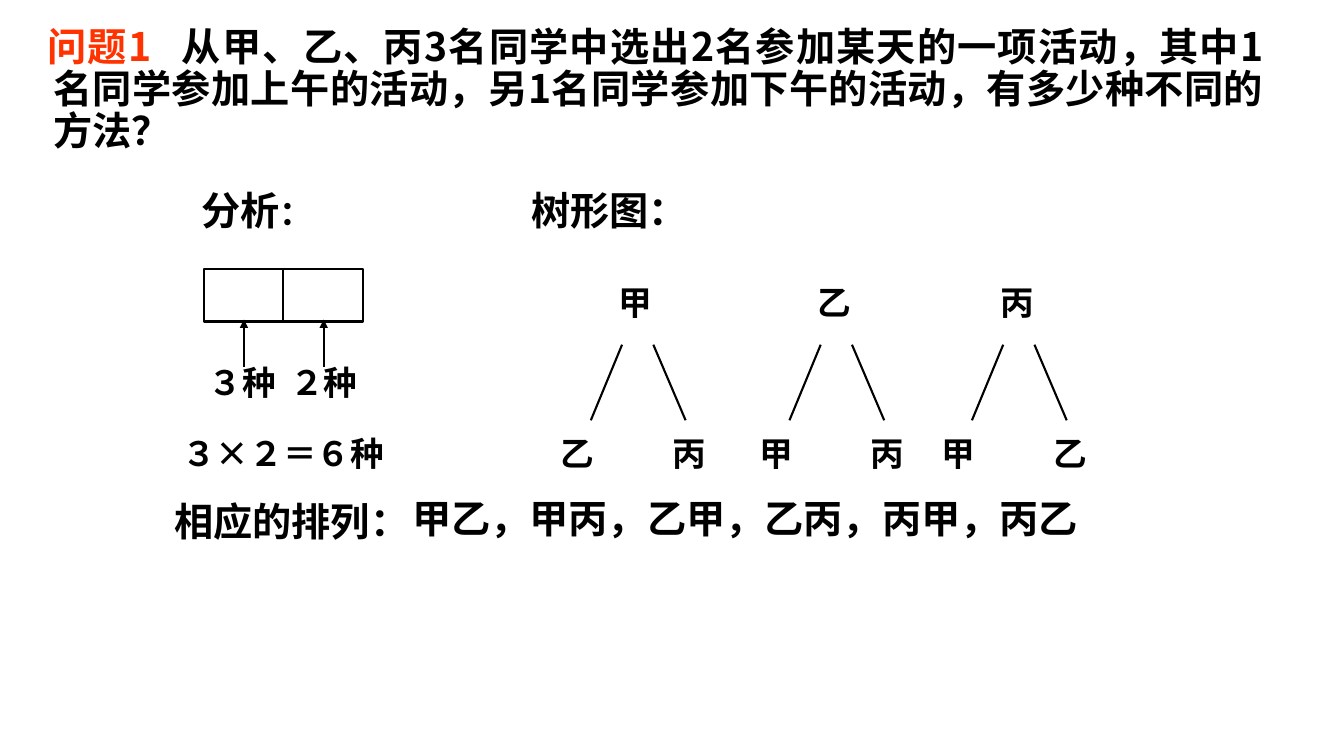
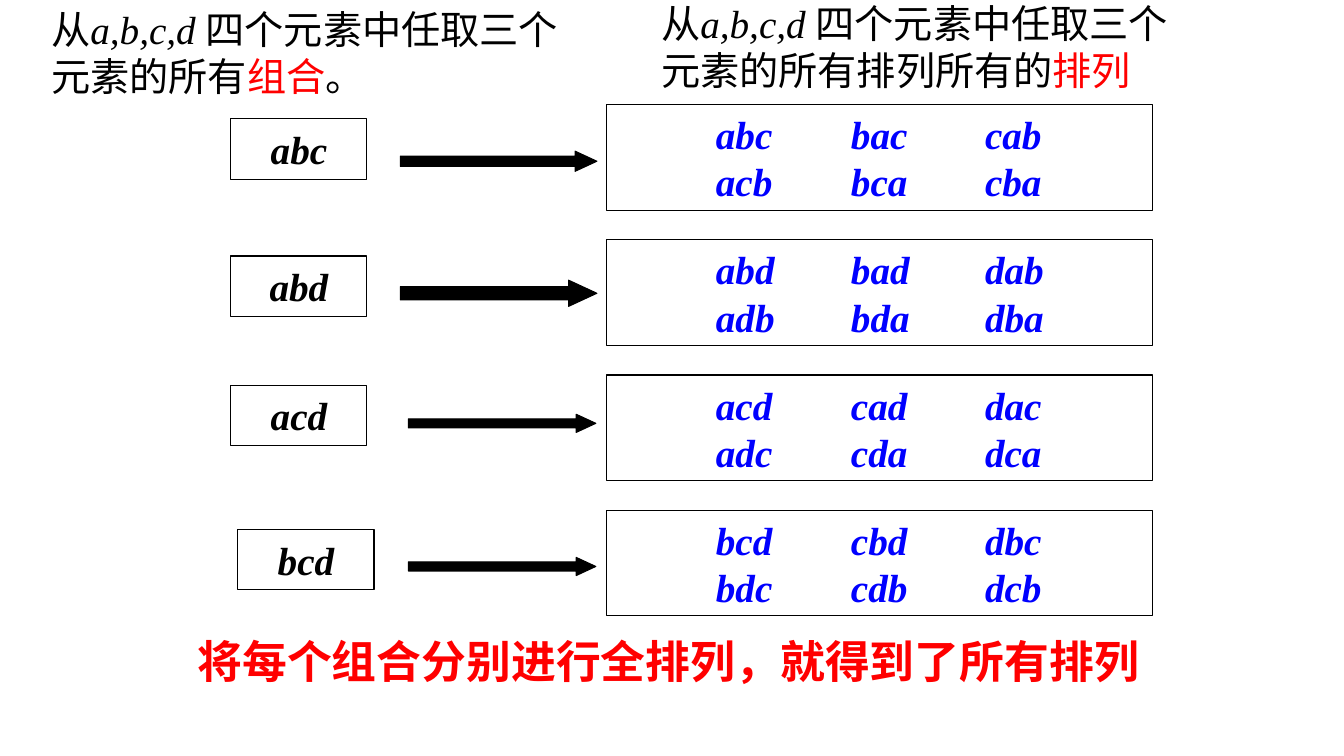
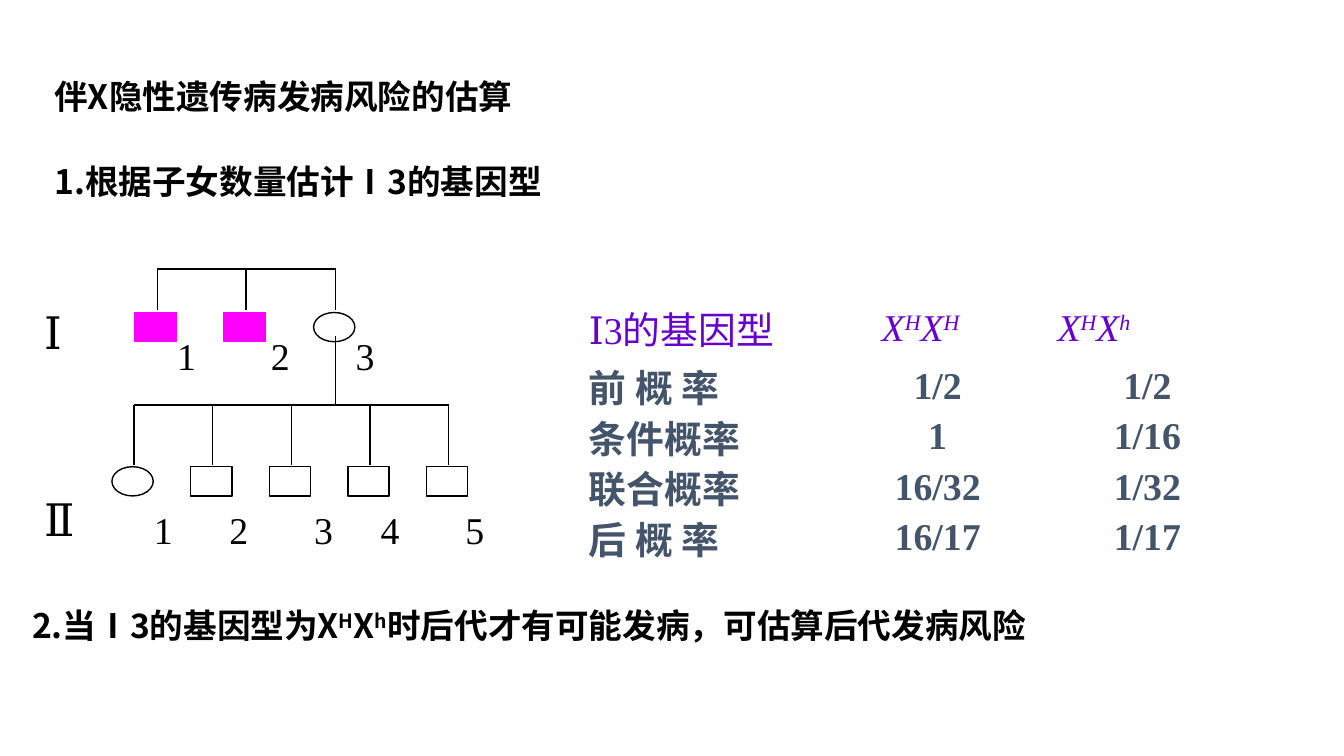
from itertools import permutations

from lxml import etree
from pptx import Presentation
from pptx.dml.color import RGBColor
from pptx.enum.shapes import MSO_CONNECTOR, MSO_SHAPE
from pptx.enum.text import MSO_ANCHOR, PP_ALIGN
from pptx.oxml.ns import qn
from pptx.util import Inches, Pt

LEFT, CENTER, JUSTIFY = PP_ALIGN.LEFT, PP_ALIGN.CENTER, PP_ALIGN.JUSTIFY
TOP, MIDDLE = MSO_ANCHOR.TOP, MSO_ANCHOR.MIDDLE
RECT, OVAL = MSO_SHAPE.RECTANGLE, MSO_SHAPE.OVAL
ARROW, PROCESS = MSO_SHAPE.RIGHT_ARROW, MSO_SHAPE.FLOWCHART_PROCESS
STRAIGHT = MSO_CONNECTOR.STRAIGHT

SANS, SERIF = "Noto Sans CJK SC", "Times New Roman"
COLORS = {
    "black": "000000", "white": "FFFFFF", "orange": "FF3300", "red": "FF0000",
    "blue": "0000FF", "magenta": "FF00FF", "purple": "6600CC", "slate": "44546A",
}


def rgb(name):
    return RGBColor.from_string(COLORS[name])


def add_run(p, text, size=24, font=SANS, ea=SANS, color="black",
            bold=False, italic=False, raised=False):
    r = p.add_run()
    r.text = text
    r.font.size, r.font.name = Pt(size), font
    r.font.bold, r.font.italic = bold, italic
    r.font.color.rgb = rgb(color)
    rPr = r.font._element
    etree.SubElement(rPr, qn("a:ea")).set("typeface", ea)
    if raised:
        rPr.set("baseline", "30000")


def write(tf, paragraphs, align=LEFT, spacing=None, before=0, indent=None, tabs=(), **fmt):
    """Each paragraph is a string or a list of (text, format overrides)."""
    for i, runs in enumerate(paragraphs):
        p = tf.add_paragraph() if i else tf.paragraphs[0]
        p.alignment = align
        if spacing:
            p.line_spacing = spacing
        if i and before:
            p.space_before = Pt(before)
        pPr = p._p.get_or_add_pPr()
        if indent:
            pPr.set("marL", str(Inches(indent[0])))
            pPr.set("indent", str(Inches(indent[1])))
        if tabs:
            tab_list = etree.SubElement(pPr, qn("a:tabLst"))
            for pos in tabs:
                tab = etree.SubElement(tab_list, qn("a:tab"))
                tab.set("pos", str(Inches(pos)))
                tab.set("algn", "l")
        for text, extra in [(runs, {})] if isinstance(runs, str) else runs:
            add_run(p, text, **{**fmt, **extra})


def add_text(s, x, y, w, h, *paragraphs, **fmt):
    tf = s.shapes.add_textbox(Inches(x), Inches(y), Inches(w), Inches(h)).text_frame
    tf.word_wrap = True
    write(tf, paragraphs, **fmt)


def add_shape(s, kind, x, y, w, h, fill=None, line="black", width=1):
    sp = s.shapes.add_shape(kind, Inches(x), Inches(y), Inches(w), Inches(h))
    sp.shadow.inherit = False
    if fill:
        sp.fill.solid()
        sp.fill.fore_color.rgb = rgb(fill)
    else:
        sp.fill.background()
    if line:
        sp.line.color.rgb = rgb(line)
        sp.line.width = Pt(width)
    else:
        sp.line.fill.background()
    return sp


def add_line(s, x1, y1, x2, y2, width=1, arrow=False):
    c = s.shapes.add_connector(STRAIGHT, Inches(x1), Inches(y1), Inches(x2), Inches(y2))
    c.line.color.rgb = rgb("black")
    c.line.width = Pt(width)
    if arrow:
        etree.SubElement(c.line._get_or_add_ln(), qn("a:tailEnd")).set("type", "triangle")
    etree.SubElement(c._element.spPr, qn("a:effectLst"))


def add_boxed_text(s, box, paragraphs, margin_left=0.1, fill=None, line="black", kind=RECT, **fmt):
    tf = add_shape(s, kind, *box, fill=fill, line=line, width=0.75).text_frame
    tf.word_wrap = False
    tf.vertical_anchor = MIDDLE
    tf.margin_left = Inches(margin_left)
    write(tf, paragraphs, font=SERIF, bold=True, **fmt)


# Slide 1: arrangements of two out of three

def add_choice_boxes(s, x, y):
    for i, count in enumerate(("３种", "２种")):
        left = x + 0.79 * i
        add_shape(s, RECT, left, y, 0.79, 0.52, width=1.5)
        add_line(s, left + 0.4, y + 0.97, left + 0.4, y + 0.5, width=1.5, arrow=True)
        add_text(s, left - 0.05 + 0.02 * i, y + 0.87, 1.03, 0.5, count, font=SERIF, bold=True)


def add_tree(s, x, y, root, leaves):
    add_text(s, x + 0.58, y, 0.62, 0.5, root, font=SERIF, bold=True)
    for i, leaf in enumerate(leaves):
        add_text(s, x + 1.11 * i, y + 1.5, 0.62, 0.5, leaf, font=SERIF, bold=True)
        add_line(s, x + 0.71 + 0.31 * i, y + 0.67, x + 0.4 + 0.94 * i, y + 1.42, width=1.5)


def build_arrangement_slide(s):
    add_text(s, 0.18, 0.22, 12.45, 1.58,
             [("问题1", {"color": "orange"}), ("　", {"size": 20}),
              ("从甲、乙、丙3名同学中选出2名参加某天的一项活动，其中1名同学参加上午的活动，"
               "另1名同学参加下午的活动，有多少种不同的方法？", {})],
             size=28, bold=True, align=JUSTIFY, spacing=0.9, indent=(0.25, -0.06))
    add_choice_boxes(s, 2.02, 2.67)
    add_text(s, 1.71, 4.25, 2.44, 0.5, "３×２＝６种", bold=True)
    students = "甲乙丙"
    for x, root in zip((5.46, 7.43, 9.24), students):
        add_tree(s, x, 2.75, root, students.replace(root, ""))
    add_text(s, 1.9, 1.8, 2.05, 0.57, [("分析", {"size": 28}), ("：", {})], bold=True)
    for x, y, w, text in (
        (5.17, 1.8, 2.84, "树形图："),
        (1.63, 4.88, 3.31, "相应的排列："),
        (3.99, 4.85, 7.48, "，".join(a + b for a, b in permutations(students, 2))),
    ):
        add_text(s, x, y, w, 0.57, text, size=28, bold=True)


# Slide 2: from combinations to permutations

def add_heading(s, x, y, w, text, highlight, end=""):
    runs = [("从", {}), ("a,b,c,d ", {"italic": True}), (text, {"font": SANS}),
            (highlight, {"color": "red"})]
    if end:
        runs.append((end, {}))
    add_text(s, x, y, w, 1.04, runs, size=28, font=SERIF)


def add_permutations(s, x, y, letters):
    words = ["".join(p) for p in permutations(letters)]
    add_boxed_text(s, (x, y, 5.41, 1.05), ["\t".join(words[0::2]), "\t".join(words[1::2])],
                   margin_left=1.08, tabs=(1.34, 2.67), align=LEFT,
                   size=28, color="blue", italic=True)


def build_combination_slide(s):
    add_heading(s, 0.41, 0, 5.32, "四个元素中任取三个元素的所有", "组合", "。")
    add_heading(s, 6.46, -0.06, 5.43, "四个元素中任取三个元素的所有排列所有的", "排列")
    rows = (
        ("abc", 2.29, 1.18, (3.97, 1.5, 1.95, 0.2)),
        ("abd", 2.29, 2.54, (3.97, 2.78, 1.95, 0.26)),
        ("acd", 2.29, 3.82, (4.05, 4.11, 1.86, 0.18)),
        ("bcd", 2.36, 5.25, (4.05, 5.53, 1.86, 0.18)),
    )
    for i, (letters, x, y, arrow_box) in enumerate(rows):
        add_boxed_text(s, (x, y, 1.35, 0.6), [letters], align=CENTER, size=28, italic=True)
        add_permutations(s, 6.02, 1.04 + 1.34 * i, letters)
        arrow = add_shape(s, ARROW, *arrow_box, fill="black", width=0.75)
        arrow.adjustments[1] = 1.08
    add_boxed_text(s, (1.86, 6.21, 9.61, 0.68), ["将每个组合分别进行全排列，就得到了所有排列"],
                   kind=PROCESS, fill="white", line=None, size=32, color="red")


# Slide 3: risk of an X-linked recessive disease

def genotype(*alleles, **fmt):
    runs = []
    for allele in alleles:
        runs += [("X", fmt), (allele, {**fmt, "raised": True})]
    return runs


def add_numbers(s, centers, y):
    for i, x in enumerate(centers, 1):
        add_text(s, x - 0.25, y, 0.5, 0.56, str(i), size=27, font=SERIF, align=CENTER)


def add_generation(s, xs, y, drop, symbols):
    """Draws a sibling line with a drop line and a symbol for each person."""
    add_line(s, xs[0], y, xs[-1], y)
    for x, (kind, fill) in zip(xs, symbols):
        add_line(s, x, y, x, y + drop)
        add_shape(s, kind, x - 0.22, y + drop + 0.02, 0.41, 0.29, fill=fill,
                  line=fill or "black")


def add_pedigree(s, x, y):
    parents = [x + dx for dx in (1.12, 2, 2.89)]
    children = [x + 0.89 + 0.78 * i for i in range(5)]
    add_generation(s, parents, y, 0.41, [(RECT, "magenta")] * 2 + [(OVAL, None)])
    add_line(s, parents[-1], y + 0.66, parents[-1], y + 1.35)
    add_generation(s, children, y + 1.35, 0.59, [(OVAL, None)] + [(RECT, None)] * 4)
    add_numbers(s, [x + dx for dx in (1.41, 2.34, 3.18)], y + 0.58)
    add_numbers(s, [x + dx for dx in (1.18, 1.93, 2.77, 3.43, 4.27)], y + 2.31)
    for dy, label in ((0.3, "Ⅰ"), (2.16, "Ⅱ")):
        add_text(s, x - 0.1, y + dy, 0.64, 0.6, label, size=32, font=SERIF, ea=SERIF)


def add_probability_table(s, x, y):
    italic = {"italic": True}
    rows = (
        ([("Ⅰ", {"ea": SERIF}), ("3的基因型", {})],
         genotype("H", "H", **italic), genotype("H", "h", **italic)),
        ("前 概 率", "1/2", "1/2"),
        ("条件概率", "1", "1/16"),
        ("联合概率", "16/32", "1/32"),
        ("后 概 率", "16/17", "1/17"),
    )
    widths, heights = (2.36, 2.2, 1.96), (0.65, 0.5, 0.5, 0.5, 0.5)
    header_insets = (0, 0.34, 1.06)
    table = s.shapes.add_table(5, 3, Inches(x), Inches(y), Inches(sum(widths)),
                               Inches(sum(heights))).table
    table.first_row = table.horz_banding = False
    for column, width in zip(table.columns, widths):
        column.width = Inches(width)
    for i, (row, height) in enumerate(zip(rows, heights)):
        table.rows[i].height = Inches(height)
        for j, content in enumerate(row):
            cell = table.cell(i, j)
            cell.fill.background()
            cell.vertical_anchor = MIDDLE
            cell.margin_left = cell.margin_top = cell.margin_bottom = 0
            cell.margin_right = Inches(0 if i else header_insets[j])
            write(cell.text_frame, [content], align=CENTER if j else LEFT, spacing=0.9,
                  size=27, font=SERIF, bold=i > 0, color="slate" if i else "purple")


def build_risk_slide(s):
    add_text(s, 0.44, 0.75, 11.22, 1.67, "伴X隐性遗传病发病风险的估算",
             "1.根据子女数量估计Ⅰ3的基因型", bold=True, align=JUSTIFY, spacing=0.9, before=35)
    add_pedigree(s, 0.44, 2.67)
    add_probability_table(s, 5.84, 2.95)
    add_text(s, 0.22, 6, 12.56, 0.94,
             [("2.当Ⅰ3的基因型为", {}), *genotype("H", "h"),
              ("时后代才有可能发病，可估算后代发病风险", {})],
             bold=True, align=JUSTIFY, spacing=0.9)


def main():
    prs = Presentation()
    prs.slide_width, prs.slide_height = Inches(13.33), Inches(7.5)
    for build in (build_arrangement_slide, build_combination_slide, build_risk_slide):
        build(prs.slides.add_slide(prs.slide_layouts[6]))
    prs.save("out.pptx")


if __name__ == "__main__":
    main()
